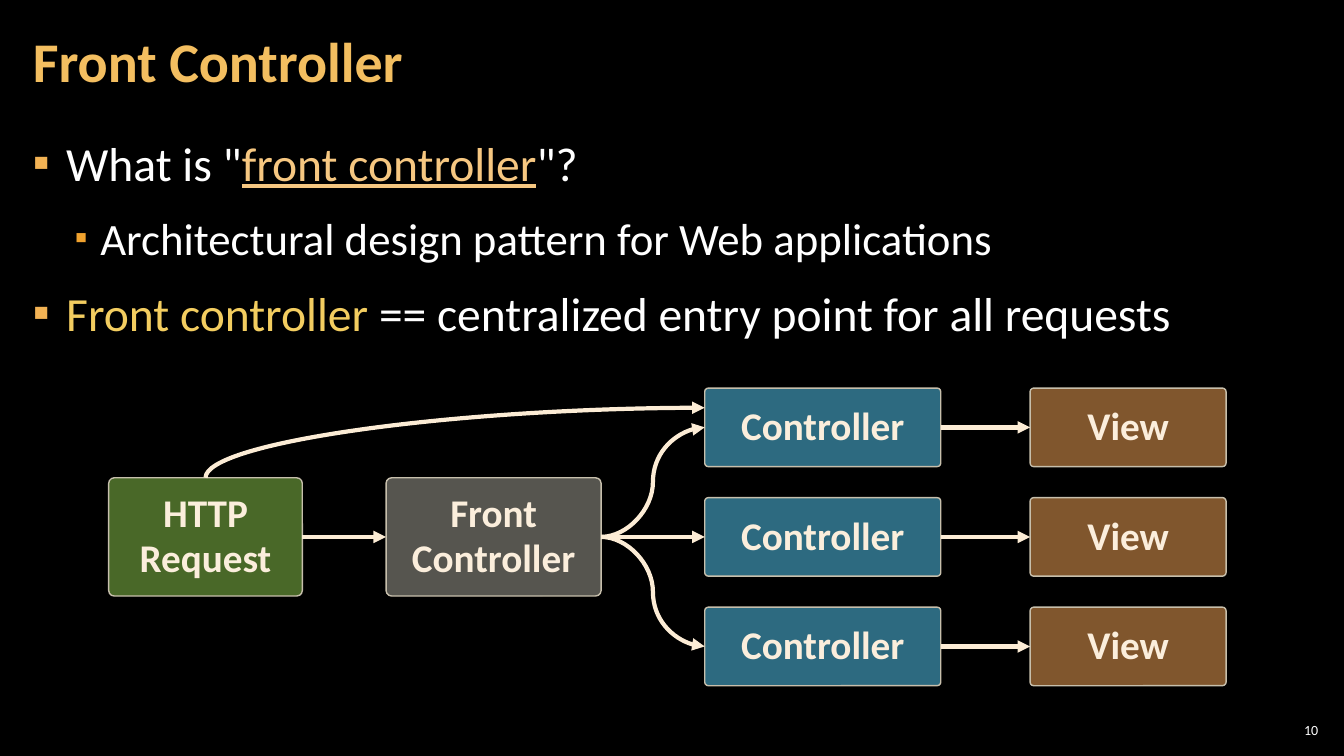
from dataclasses import dataclass

from lxml import etree
from pptx import Presentation
from pptx import util as u
from pptx.dml.color import RGBColor
from pptx.enum import shapes, text
from pptx.oxml.ns import qn


@dataclass(frozen=True)
class Theme:
    font: str = "Calibri"
    background: str = "000000"
    white: str = "FFFFFF"
    title: str = "F3BE60"
    link: str = "F6C781"
    highlight: str = "F3CD60"
    bullets: tuple = ("F2B254", "F0A22E")
    box_text: str = "FBEEDC"
    box_line: str = "C7BFAC"
    arrow: str = "FCECD5"
    request: tuple = ("92D050", 50)  # colour, opacity in percent
    front: tuple = ("D9D5C7", 40)
    controller: tuple = ("5BD4FF", 50)
    view: tuple = ("FFAD5B", 50)
    title_size: int = 40
    body_sizes: tuple = (34, 32)
    box_size: int = 28
    number_size: int = 10


LEFT, RIGHT = 1, 3


def add_child(parent, tag, **attributes):
    return etree.SubElement(parent, qn(tag), attributes)


class SlideBuilder:
    def __init__(self, page, theme):
        self.page = page
        self.theme = theme
        page.background.fill.solid()
        page.background.fill.fore_color.rgb = RGBColor.from_string(theme.background)

    def add_span(self, para, words, size, color, bold=False, underline=False):
        span = para.add_run()
        span.text = words
        font = span.font
        font.name = self.theme.font
        font.size = u.Pt(size)
        font.bold = bold
        font.underline = underline
        font.color.rgb = RGBColor.from_string(color)

    def text_box(self, left, top, width, height, side=0.3, anchor=text.MSO_ANCHOR.MIDDLE):
        box = self.page.shapes.add_textbox(u.Cm(left), u.Cm(top), u.Cm(width), u.Cm(height))
        frame = box.text_frame
        frame.word_wrap = True
        frame.vertical_anchor = anchor
        frame.margin_left = frame.margin_right = u.Cm(side)
        frame.margin_top = frame.margin_bottom = u.Cm(0.1)
        return frame

    def bullet(self, para, level, first):
        """Format a paragraph as a square-bulleted item of the given level."""
        para.level = level
        para.line_spacing = 1.05
        para.space_before = u.Pt(0 if first else 6)
        para.space_after = u.Pt(6)
        indent, hanging = ((0.84, 0.84), (1.7, 0.64))[level]
        properties = para._p.get_or_add_pPr()
        properties.set("marL", str(u.Cm(indent)))
        properties.set("indent", str(-u.Cm(hanging)))
        color = add_child(properties, "a:buClr")
        add_child(color, "a:srgbClr", val=self.theme.bullets[level])
        add_child(properties, "a:buSzPct", val=("100000", "80000")[level])
        add_child(properties, "a:buFont", typeface=self.theme.font)
        add_child(properties, "a:buChar", char="▪")

    def bullet_list(self, frame, items):
        """Fill a frame with (level, [(words, format), ...]) items."""
        for index, (level, spans) in enumerate(items):
            para = frame.add_paragraph() if index else frame.paragraphs[0]
            self.bullet(para, level, first=index == 0)
            for words, style in spans:
                style = {"color": self.theme.white, **style}
                self.add_span(para, words, self.theme.body_sizes[level], **style)

    def node(self, label, left, top, width, height, fill):
        box = self.page.shapes.add_shape(
            shapes.MSO_SHAPE.ROUNDED_RECTANGLE,
            u.Cm(left), u.Cm(top), u.Cm(width), u.Cm(height))
        box.adjustments[0] = 0.047
        box.shadow.inherit = False
        color, opacity = fill
        box.fill.solid()
        box.fill.fore_color.rgb = RGBColor.from_string(color)
        tint = box._element.spPr.find(qn("a:solidFill")).find(qn("a:srgbClr"))
        add_child(tint, "a:alpha", val=str(opacity * 1000))
        box.line.color.rgb = RGBColor.from_string(self.theme.box_line)
        box.line.width = u.Pt(1)
        frame = box.text_frame
        frame.word_wrap = True
        frame.vertical_anchor = text.MSO_ANCHOR.MIDDLE
        para = frame.paragraphs[0]
        para.alignment = text.PP_ALIGN.CENTER
        para.line_spacing = 0.95
        self.add_span(para, label, self.theme.box_size, self.theme.box_text, bold=True)
        return box

    def connector(self, kind, begin, end):
        arrow = self.page.shapes.add_connector(kind, *map(int, begin + end))
        arrow.line.color.rgb = RGBColor.from_string(self.theme.arrow)
        arrow.line.width = u.Pt(3)
        properties = arrow._element.spPr
        add_child(properties.find(qn("a:ln")), "a:tailEnd", type="triangle")
        add_child(properties, "a:effectLst")
        return arrow

    def link(self, source, target, curved=False):
        """Point from the right side of source to the left side of target."""
        begin = (source.left + source.width, source.top + source.height / 2)
        end = (target.left, target.top + target.height / 2)
        if curved:
            self.connector(shapes.MSO_CONNECTOR.CURVE, begin, end)
        else:
            arrow = self.connector(shapes.MSO_CONNECTOR.STRAIGHT, begin, end)
            arrow.begin_connect(source, RIGHT)
            arrow.end_connect(target, LEFT)

    def bypass(self, source, target):
        """Curve up from the top of source to the upper left side of target."""
        x1, y1 = source.left + source.width / 2, source.top
        x2, y2 = target.left, target.top + target.height / 4
        center_x, center_y = (x1 + x2) / 2, (y1 + y2) / 2
        half_w, half_h = (y1 - y2) / 2, (x2 - x1) / 2  # swapped by the quarter turn
        arrow = self.connector(
            shapes.MSO_CONNECTOR.CURVE,
            (center_x + half_w, center_y + half_h),
            (center_x - half_w, center_y - half_h))
        properties = arrow._element.spPr
        properties.find(qn("a:xfrm")).set("rot", str(90 * 60000))
        properties.find(qn("a:prstGeom")).set("prst", "curvedConnector2")


def main():
    deck = Presentation()
    deck.slide_width, deck.slide_height = u.Cm(33.87), u.Cm(19.05)
    theme = Theme()
    slide = SlideBuilder(deck.slides.add_slide(deck.slide_layouts[6]), theme)

    number = slide.text_box(32.13, 18.14, 1.19, 0.53, side=0.1).paragraphs[0]
    number.alignment = text.PP_ALIGN.RIGHT
    slide.add_span(number, "10", theme.number_size, theme.white)

    title = slide.text_box(0.53, 0.1, 26.6, 3.07).paragraphs[0]
    title.line_spacing = 0.9
    slide.add_span(title, "Front Controller", theme.title_size, theme.title, bold=True)

    body = slide.text_box(0.53, 3.2, 32.8, 15.47, anchor=text.MSO_ANCHOR.TOP)
    slide.bullet_list(body, [
        (0, [("What is \"", {}),
             ("front controller", {"color": theme.link, "underline": True}),
             ("\"?", {})]),
        (1, [("Architectural design pattern for Web applications", {})]),
        (0, [("Front controller ", {"color": theme.highlight}),
             ("== centralized entry point for all requests", {})]),
    ])

    request = slide.node("HTTP Request", 2.74, 12.04, 4.88, 2.98, theme.request)
    front = slide.node("Front Controller", 9.73, 12.04, 5.42, 2.98, theme.front)
    slide.link(request, front)

    first_row, row_pitch, row_height = 9.78, 2.76, 1.98
    controllers = []
    for row in range(3):
        top = first_row + row * row_pitch
        controller = slide.node("Controller", 17.76, top, 5.95, row_height, theme.controller)
        view = slide.node("View", 25.96, top, 4.94, row_height, theme.view)
        slide.link(front, controller, curved=row != 1)
        slide.link(controller, view)
        controllers.append(controller)
    slide.bypass(request, controllers[0])

    deck.save("out.pptx")


if __name__ == "__main__":
    main()
